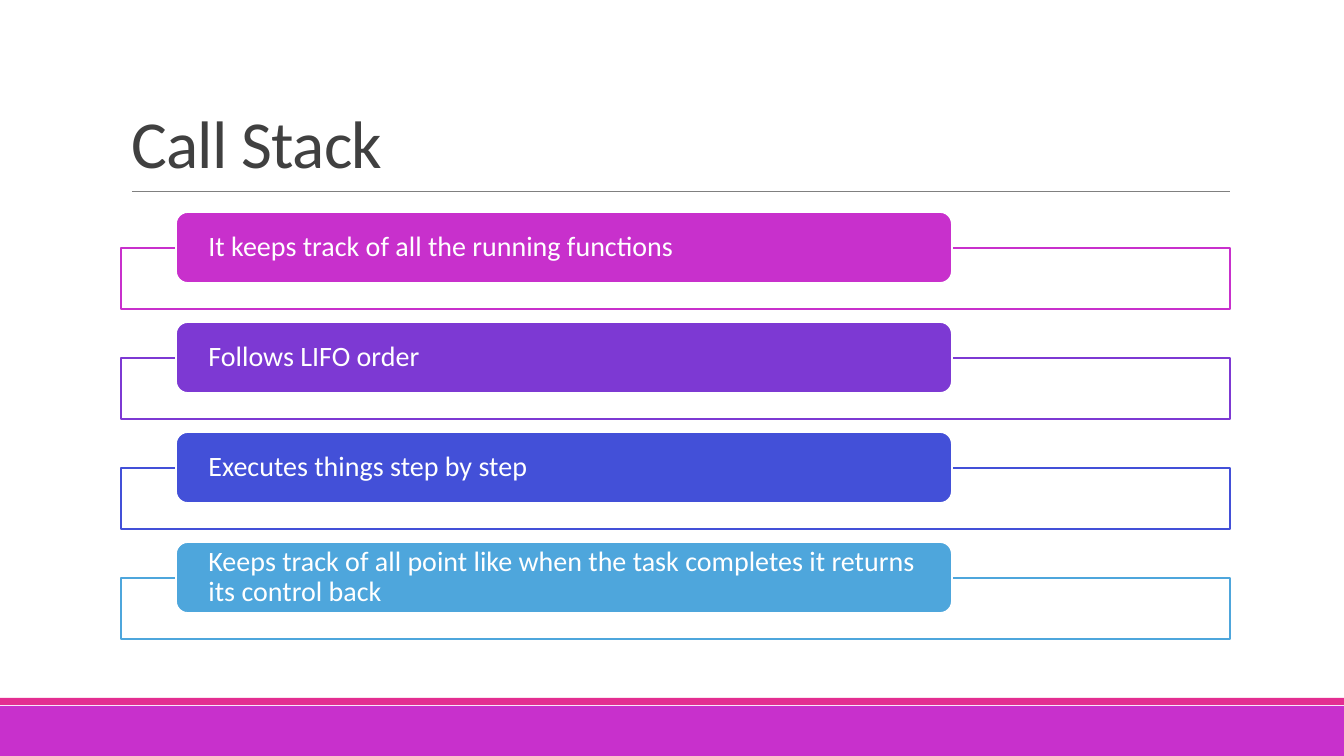
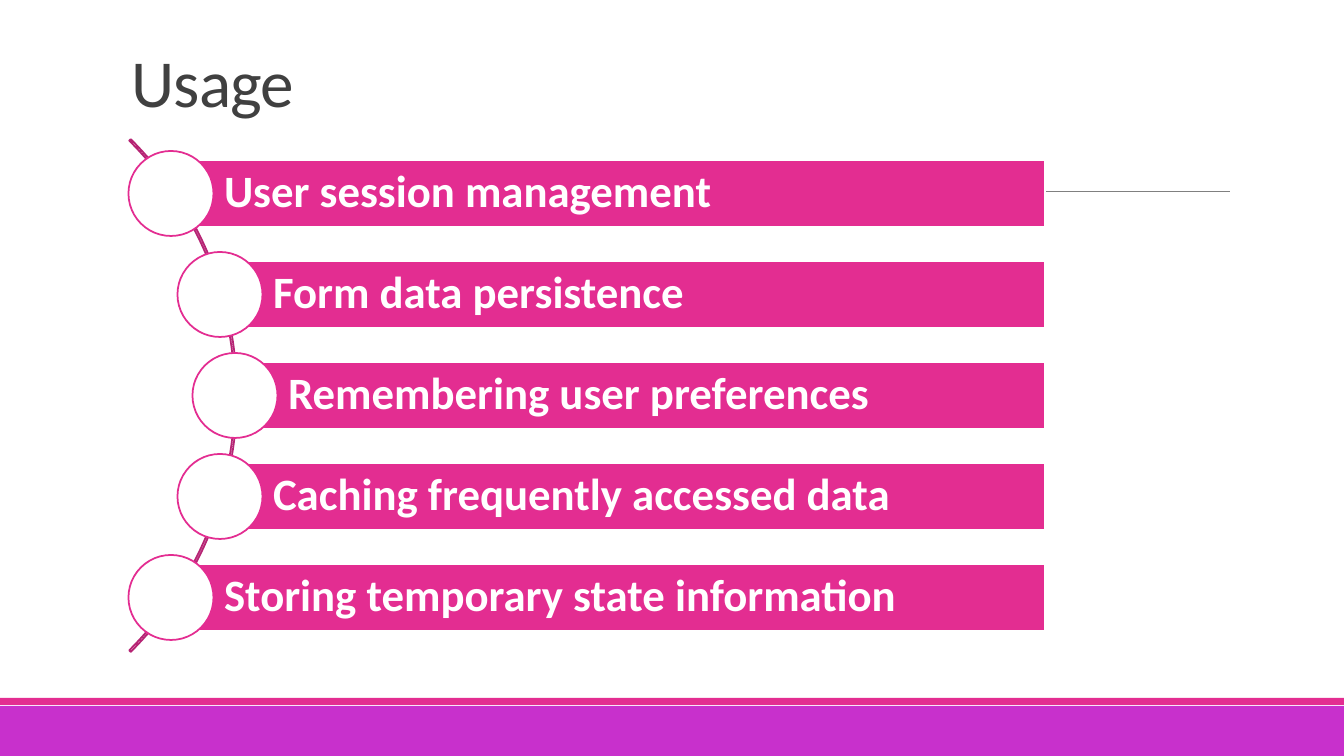
"""Build two slides on the call stack and on uses of session storage."""
import pptx
import pptx.dml.color
import pptx.enum.shapes
import pptx.enum.text
import pptx.oxml
import pptx.oxml.ns
import pptx.util

COLORS = {
    "white": "FFFFFF", "title": "404040", "rule": "808080",
    "orchid": "C830CC", "pink": "E32D91", "arc": "B62474",
    "violet": "7D39D3", "indigo": "4350D8", "sky": "4EA6DC",
}
TRAITS = [
    ("It keeps track of all the running functions", "orchid"),
    ("Follows LIFO order", "violet"),
    ("Executes things step by step", "indigo"),
    ("Keeps track of all point like when the task completes it returns its control back", "sky"),
]
USES = [
    ("User session management", 171),
    ("Form data persistence", 220),
    ("Remembering user preferences", 235),
    ("Caching frequently accessed data", 220),
    ("Storing temporary state information", 171),
]

SLIDE_WIDTH, SLIDE_HEIGHT = 1344, 756
BANDS = [((0, 706, SLIDE_WIDTH, 50), "orchid"), ((0, 698, SLIDE_WIDTH, 7), "pink")]
TRAIT_PITCH, USE_PITCH = 110, 101
BAR_TOP, BAR_HEIGHT, BAR_RIGHT = 160, 67, 1045
CIRCLE_SIZE = 85
ARC_BOX = (-488, 33, 725, 725)
ARC_ADJUSTMENTS = (189, 27, 0.003)

SHAPES = pptx.enum.shapes.MSO_SHAPE
ANCHOR = pptx.enum.text.MSO_ANCHOR
TITLE_FONT = {"name": "Calibri", "size": pptx.util.Pt(48), "bold": False}
TRAIT_FONT = {"name": "Calibri", "size": pptx.util.Pt(20), "bold": False}
USE_FONT = {"name": "Calibri", "size": pptx.util.Pt(32), "bold": True}
TRAIT_MARGINS = (29, 0, 29, 0)
USE_MARGINS = (53, 9, 9, 9)


def px(length):
    return pptx.util.Emu(round(length * 914400 / 100.8))


def rgb(name):
    return pptx.dml.color.RGBColor.from_string(COLORS[name])


def apply(target, values):
    for attribute, value in values.items():
        setattr(target, attribute, value)


def add_box(slide, preset, box, fill=None, line=None):
    shape = slide.shapes.add_shape(preset, *map(px, box))
    shape.shadow.inherit = False
    if fill:
        shape.fill.solid()
        shape.fill.fore_color.rgb = rgb(fill)
    else:
        shape.fill.background()
    if line:
        shape.line.color.rgb = rgb(line)
        shape.line.width = pptx.util.Pt(1.25)
    else:
        shape.line.fill.background()
    return shape


def write(shape, text, font, color, anchor, spacing, margins=None):
    frame = shape.text_frame
    frame.text = text
    apply(frame, {
        "word_wrap": True,
        "auto_size": pptx.enum.text.MSO_AUTO_SIZE.NONE,
        "vertical_anchor": anchor,
    })
    if margins:
        sides = ("margin_left", "margin_top", "margin_right", "margin_bottom")
        apply(frame, dict(zip(sides, map(px, margins))))
    paragraph = frame.paragraphs[0]
    apply(paragraph, {"alignment": pptx.enum.text.PP_ALIGN.LEFT, "line_spacing": spacing})
    run = paragraph.runs[0]
    apply(run.font, font)
    run.font.color.rgb = rgb(color)
    return run


def add_slide(deck, title, title_box):
    slide = deck.slides.add_slide(deck.slide_layouts[5])
    for box, color in BANDS:
        add_box(slide, SHAPES.RECTANGLE, box, color)
    rule = slide.shapes.add_connector(
        pptx.enum.shapes.MSO_CONNECTOR.STRAIGHT, px(132), px(191), px(1230), px(191))
    rule.line.color.rgb = rgb("rule")
    rule.line.width = pptx.util.Pt(0.5)
    rule._element.spPr.append(pptx.oxml.parse_xml(
        f"<a:effectLst {pptx.oxml.ns.nsdecls('a')}/>"))
    heading = slide.shapes.title
    apply(heading, dict(zip(("left", "top", "width", "height"), map(px, title_box))))
    run = write(heading, title, TITLE_FONT, "title", ANCHOR.BOTTOM, 0.85)
    run._r.get_or_add_rPr().set("spc", "-50")
    return slide


def add_call_stack(deck):
    slide = add_slide(deck, "Call Stack", (121, 27, 1109, 160))
    for row, (trait, color) in enumerate(TRAITS):
        offset = row * TRAIT_PITCH
        add_box(slide, SHAPES.RECTANGLE, (121, 248 + offset, 1109, 61), "white", color)
        card = add_box(slide, SHAPES.ROUNDED_RECTANGLE,
                       (176, 212 + offset, 776, 71), color, "white")
        write(card, trait, TRAIT_FONT, "white", ANCHOR.MIDDLE, 0.9, TRAIT_MARGINS)


def add_usage(deck):
    slide = add_slide(deck, "Usage", (121, 31, 1109, 95))
    arc = add_box(slide, SHAPES.BLOCK_ARC, ARC_BOX, line="arc")
    for index, value in enumerate(ARC_ADJUSTMENTS):
        arc.adjustments[index] = value
    for row, (use, center) in enumerate(USES):
        top = BAR_TOP + row * USE_PITCH
        bar = add_box(slide, SHAPES.RECTANGLE,
                      (center, top, BAR_RIGHT - center, BAR_HEIGHT), "pink", "white")
        write(bar, use, USE_FONT, "white", ANCHOR.MIDDLE, 0.9, USE_MARGINS)
        circle_top = top + (BAR_HEIGHT - CIRCLE_SIZE) / 2
        add_box(slide, SHAPES.OVAL,
                (center - CIRCLE_SIZE / 2, circle_top, CIRCLE_SIZE, CIRCLE_SIZE),
                "white", "pink")


def main():
    deck = pptx.Presentation()
    deck.slide_width, deck.slide_height = px(SLIDE_WIDTH), px(SLIDE_HEIGHT)
    add_call_stack(deck)
    add_usage(deck)
    deck.save("out.pptx")


if __name__ == "__main__":
    main()
